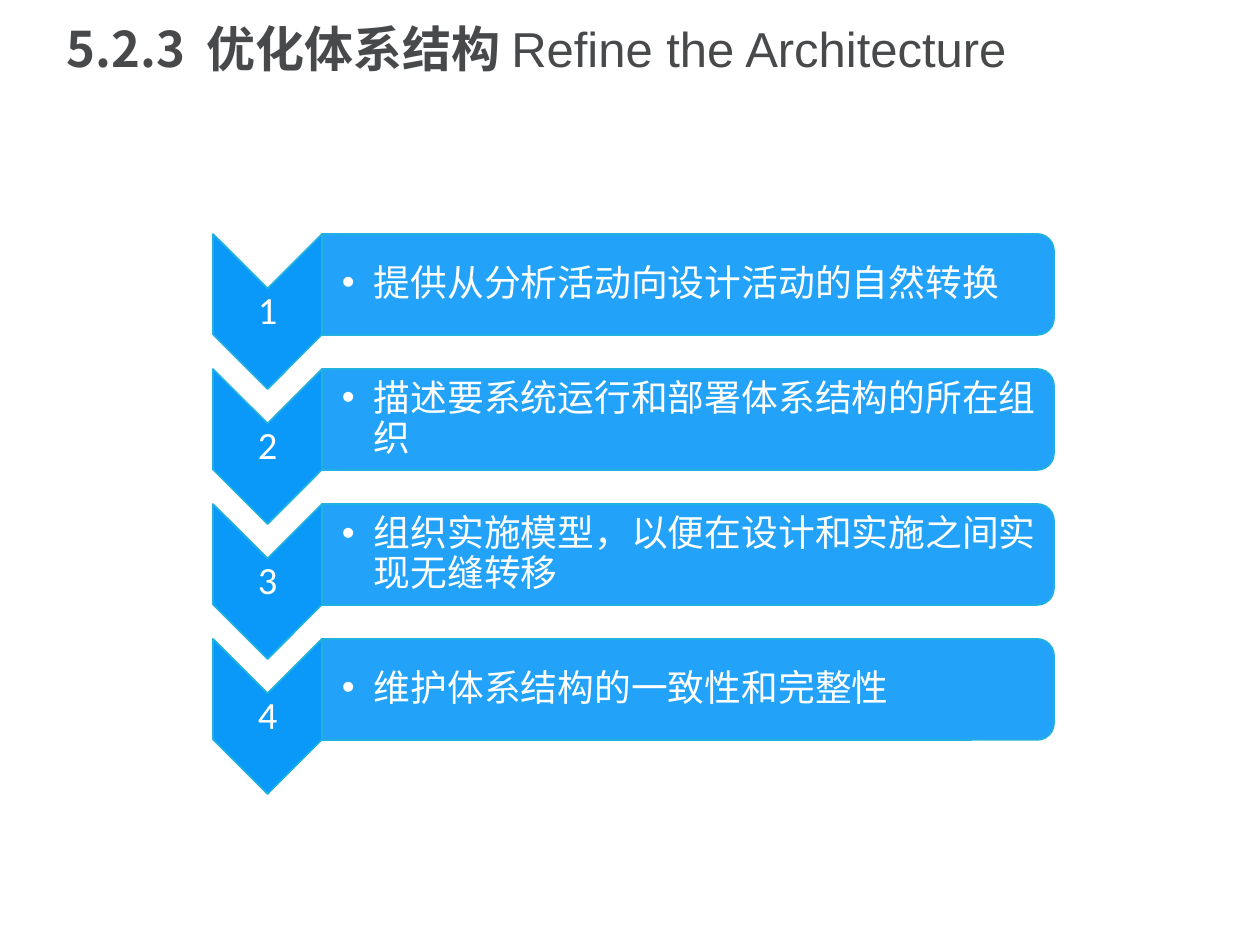
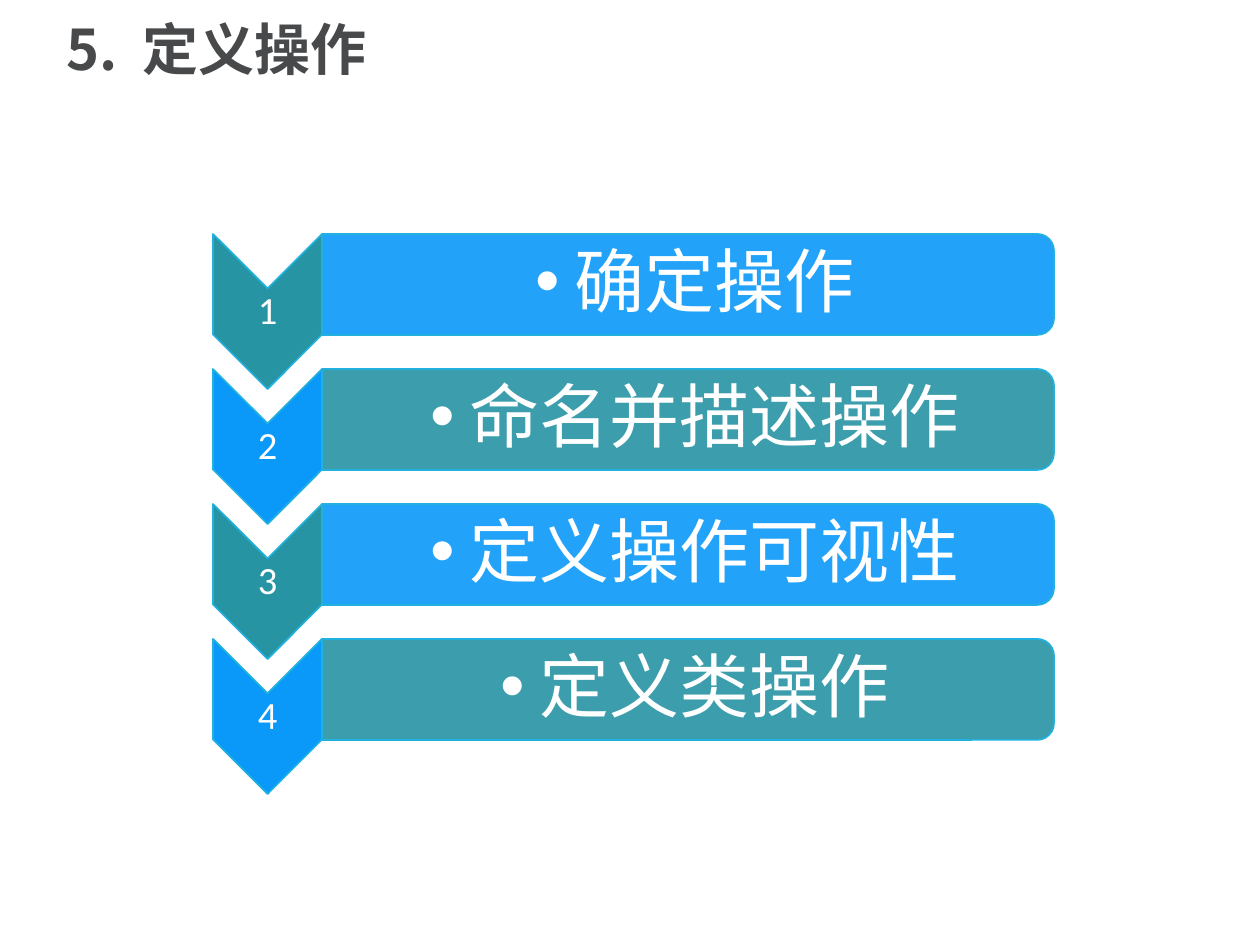
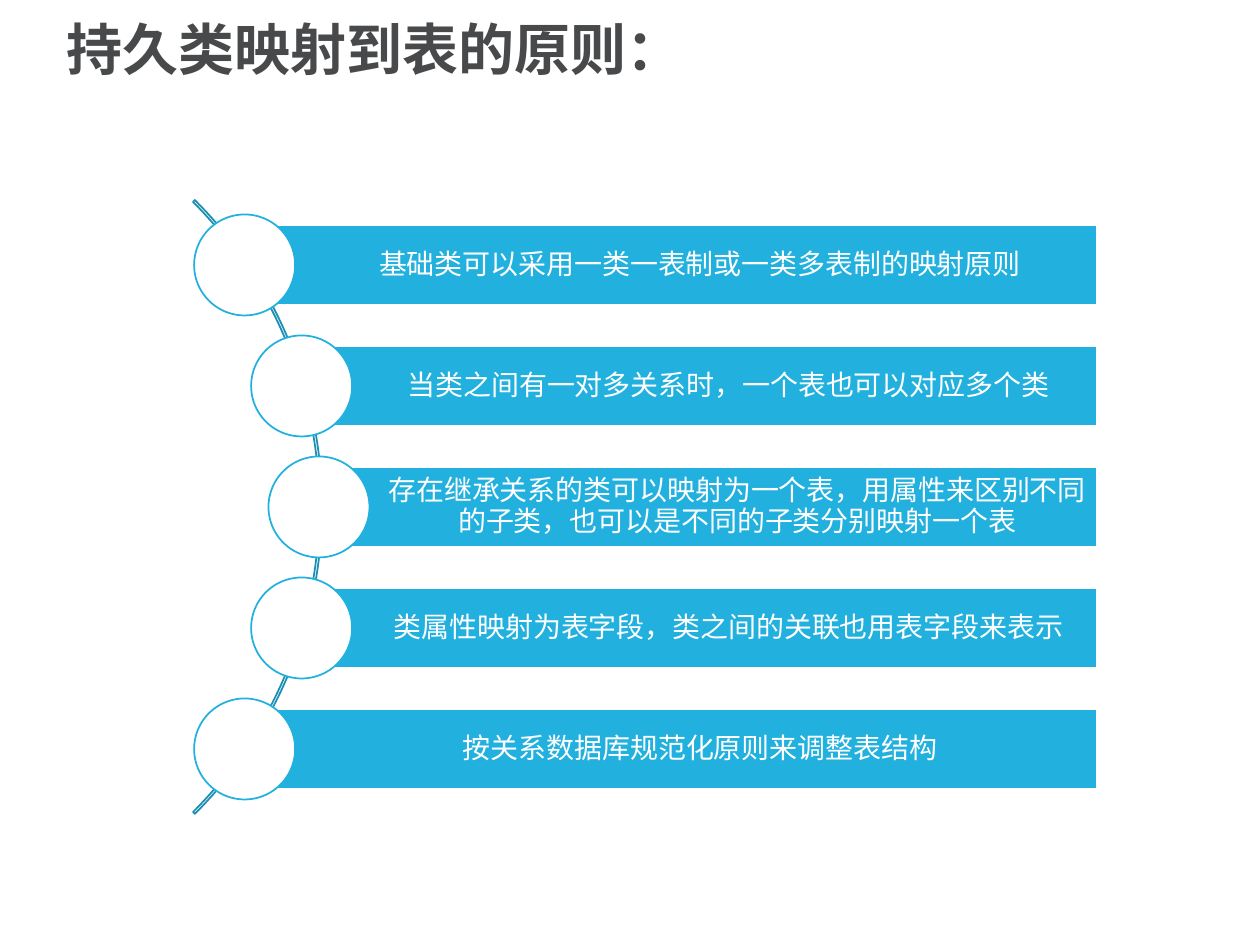
from math import sqrt

from lxml import etree
from pptx import Presentation
from pptx import util as u
from pptx.dml import color
from pptx.enum import shapes, text
from pptx.oxml import ns

PX = u.Inches(1) / 126
BLUE, TEAL, CYAN, DEEP = "0B99F9", "2794A4", "22B1DE", "1B8EB2"
WHITE, GREY = "FFFFFF", "47494B"
HAN, BODY = "Noto Sans CJK SC", "Calibri"
KIND = shapes.MSO_SHAPE
LEFT, MID = text.PP_ALIGN.LEFT, text.PP_ALIGN.CENTER


def emu(px):
    """Turn px into EMU."""
    return u.Emu(round(px * PX))


def rgb(code):
    """Return the colour for a hex string."""
    return color.RGBColor.from_string(code)


def place(item, box):
    """Set the left, top, width and height of an item."""
    item.left, item.top, item.width, item.height = map(emu, box)


def style(run, size, ink, face=BODY, bold=False):
    """Format one run, with a Chinese face for Chinese glyphs."""
    font = run.font
    font.size, font.bold, font.name = u.Pt(size), bold, face
    font.color.rgb = rgb(ink)
    etree.SubElement(run._r.get_or_add_rPr(), ns.qn("a:ea")).set("typeface", HAN)


def draw(slide, kind, box, fill, line, alpha=None, turn=0):
    """Add a preset shape that covers the box once it is turned."""
    x, y, w, h = box
    if turn:
        x, y, w, h = x + (w - h) / 2, y + (h - w) / 2, h, w
    item = slide.shapes.add_shape(kind, *map(emu, (x, y, w, h)))
    item.rotation, item.shadow.inherit = turn, False
    item.line.color.rgb, item.line.width = rgb(line), u.Pt(1)
    if fill:
        item.fill.solid()
        item.fill.fore_color.rgb = rgb(fill)
    else:
        item.fill.background()
    if alpha:
        tone = item.fill._xPr.find(".//" + ns.qn("a:srgbClr"))
        etree.SubElement(tone, ns.qn("a:alpha")).set("val", str(alpha * 1000))
    return item


def write(item, words, size, pads, align=MID, hang=0):
    """Fill an item with white text, bulleted if it has a hanging indent."""
    frame = item.text_frame
    frame.text, frame.word_wrap = words, True
    frame.vertical_anchor = text.MSO_ANCHOR.MIDDLE
    frame.margin_left = emu(pads[0])
    frame.margin_top = frame.margin_right = frame.margin_bottom = emu(pads[1])
    para = frame.paragraphs[0]
    para.alignment, para.line_spacing = align, 0.9
    if hang:
        para.level = 1
        props = para._p.get_or_add_pPr()
        props.set("marL", str(emu(hang)))
        props.set("indent", str(-emu(hang)))
        etree.SubElement(props, ns.qn("a:buFont")).set("typeface", "Arial")
        etree.SubElement(props, ns.qn("a:buChar")).set("char", "•")
    style(para.runs[0], size, WHITE)


def start(deck, size, parts):
    """Add a slide whose title is made of (words, face, bold, gap) parts."""
    slide = deck.slides.add_slide(deck.slide_layouts[5])
    title = slide.shapes.title
    place(title, (54, 8, 1140, 88))
    frame = title.text_frame
    frame.auto_size = text.MSO_AUTO_SIZE.NONE
    frame.vertical_anchor = text.MSO_ANCHOR.MIDDLE
    para = frame.paragraphs[0]
    para.alignment, para.line_spacing = LEFT, 0.9
    for words, face, bold, gap in parts:
        run = para.add_run()
        run.text = words
        style(run, size, GREY, face, bold)
        if gap:
            run._r.get_or_add_rPr().set("spc", str(gap * 100))
    return slide


def steps(slide, box, items, tips, bars, look):
    """Stack numbered chevrons with bars, taking colours in turn."""
    x, y, wide, high = box
    tip, tall, thick = 109, 155, 101
    pitch = (high - tall) / (len(items) - 1)
    for i, words in enumerate(items):
        top = y + i * pitch
        draw(slide, KIND.CHEVRON, (x, top, tip, tall),
             tips[i % len(tips)], CYAN, turn=90)
        mark = slide.shapes.add_textbox(*map(emu, (x, top + 55, tip, 47)))
        write(mark, str(i + 1), 22, (3, 3))
        draw(slide, KIND.ROUND_2_SAME_RECTANGLE,
             (x + tip, top, wide - tip, thick),
             bars[i % len(bars)], CYAN, alpha=90, turn=90)
        label = slide.shapes.add_textbox(
            *map(emu, (x + tip, top + 5, wide - tip - 5, thick - 10)))
        write(label, words, **look)


def curve(slide, box, items):
    """Set bars with round heads along an arc that bulges to the right."""
    x, y, wide, high = box
    size, thick, ring, pitch = 101, 80, 868, 121
    hub, mid = x - 306, y + high / 2
    arc = draw(slide, KIND.BLOCK_ARC,
               (hub - ring / 2, mid - ring / 2, ring, ring), None, DEEP)
    for i, value in enumerate((189, 27, 0.003)):
        arc.adjustments[i] = value
    for i, words in enumerate(items):
        rise = (i - (len(items) - 1) / 2) * pitch
        cx, cy = hub + sqrt((ring / 2 - 3) ** 2 - rise ** 2), mid + rise
        bar = draw(slide, KIND.RECTANGLE,
                   (cx, cy - thick / 2, x + wide - cx, thick), CYAN, WHITE)
        write(bar, words, 16, (64, 5))
        draw(slide, KIND.OVAL,
             (cx - size / 2, cy - size / 2, size, size), WHITE, CYAN)


def main():
    """Build the three slides and save them."""
    deck = Presentation()
    deck.slide_width, deck.slide_height = emu(1260), emu(945)
    stack = (213, 234, 841, 560)

    slide = start(deck, 28, [
        ("5.2.3", HAN, True, 0), (" ", HAN, True, 6),
        ("优化体系结构 ", HAN, True, 0),
        ("Refine the Architecture", "Arial", False, 0)])
    steps(slide, stack, [
        "提供从分析活动向设计活动的自然转换",
        "描述要系统运行和部署体系结构的所在组织",
        "组织实施模型，以便在设计和实施之间实现无缝转移",
        "维护体系结构的一致性和完整性",
    ], [BLUE], [BLUE], dict(size=21, pads=(20, 1), align=LEFT, hang=32))

    slide = start(deck, 32, [
        ("5.", HAN, True, 0), (" ", HAN, True, 7), ("定义操作", HAN, True, 0)])
    steps(slide, stack, [
        "确定操作 ", "命名并描述操作 ", "定义操作可视性 ", "定义类操作 ",
    ], [TEAL, BLUE], [BLUE, TEAL], dict(size=40, pads=(39, 4), hang=39))

    slide = start(deck, 32, [("持久类映射到表的原则：", HAN, True, 0)])
    curve(slide, (194, 199, 903, 616), [
        "基础类可以采用一类一表制或一类多表制的映射原则",
        "当类之间有一对多关系时，一个表也可以对应多个类",
        "存在继承关系的类可以映射为一个表，用属性来区别不同的子类，也可以是不同的子类分别映射一个表",
        "类属性映射为表字段，类之间的关联也用表字段来表示",
        "按关系数据库规范化原则来调整表结构",
    ])
    deck.save("out.pptx")


if __name__ == "__main__":
    main()
